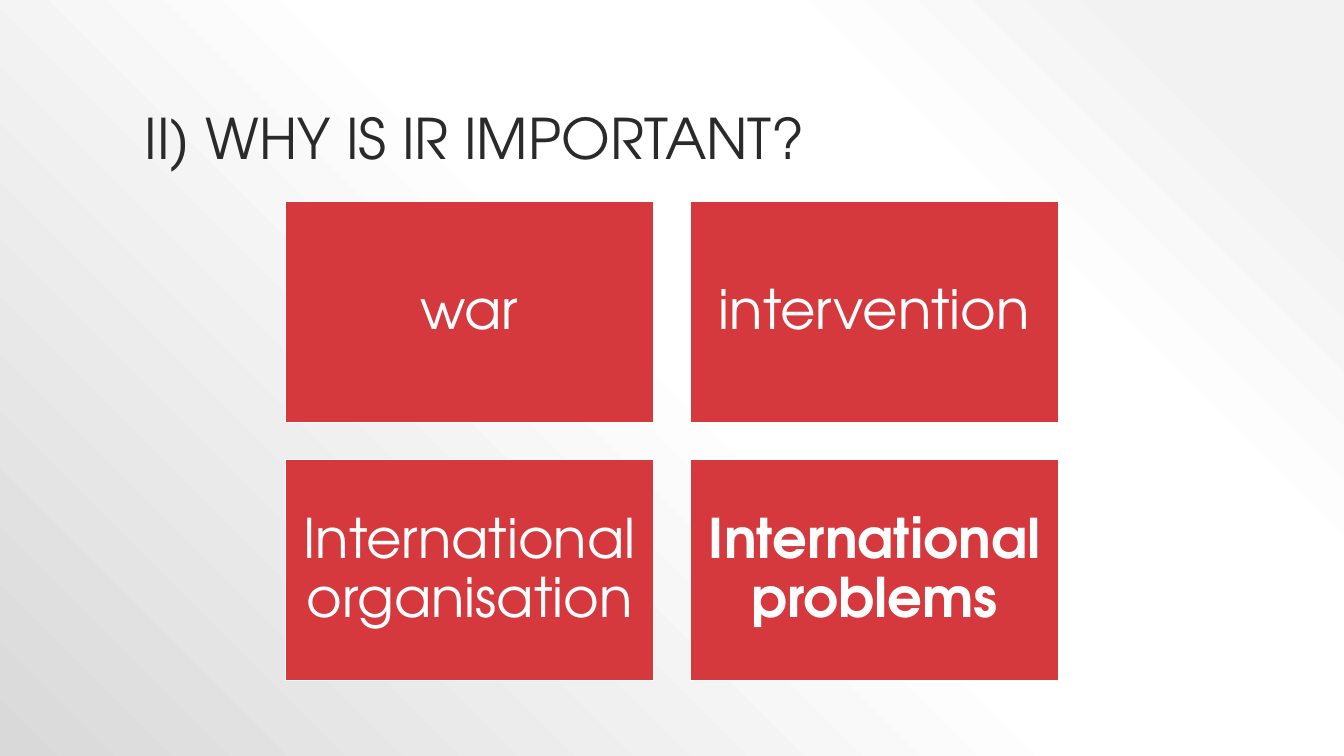
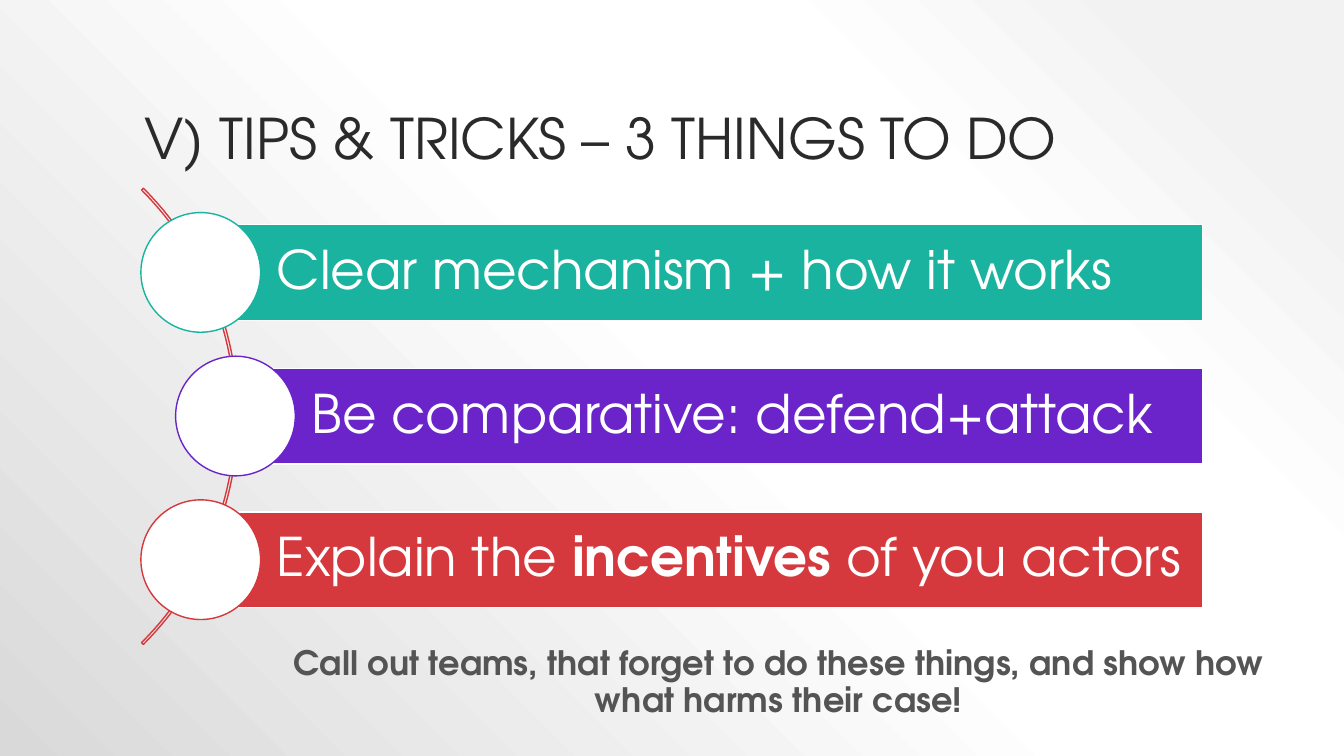
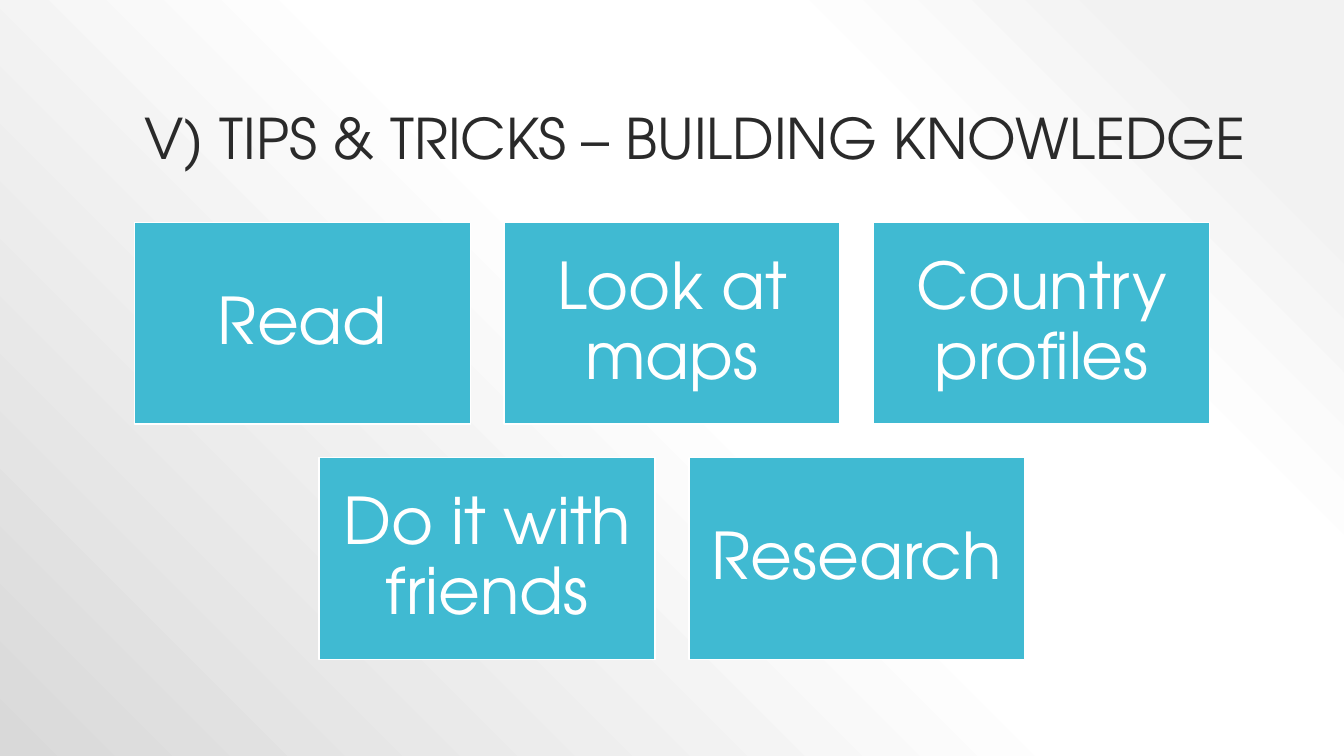
"""Build three slides on international relations: reasons, tips and ways to learn."""
from pptx import Presentation
from pptx.dml.color import RGBColor
from pptx.enum.shapes import MSO_SHAPE
from pptx.enum.text import MSO_ANCHOR, MSO_AUTO_SIZE, PP_ALIGN
from pptx.oxml import parse_xml
from pptx.oxml.ns import nsdecls, qn
from pptx.util import Pt

FONT = "TeX Gyre Adventor"
WHITE = RGBColor(0xFF, 0xFF, 0xFF)
RED = RGBColor(0xD5, 0x39, 0x3D)
TEAL = RGBColor(0x1A, 0xB3, 0x9F)
PURPLE = RGBColor(0x6A, 0x24, 0xCA)
BLUE = RGBColor(0x40, 0xBA, 0xD2)
GREY = RGBColor(0x54, 0x54, 0x54)
INK = RGBColor(0x2A, 0x2A, 0x2A)
BACKGROUND_STOPS = [(10, "F2F2F2"), (28, "FFFFFF"), (48, "FFFFFF"), (100, "D9D9D9")]

SLIDE_WIDTH, SLIDE_HEIGHT = 960, 540
TITLE_BOX = (96, 21.6, 768, 104.4)
WIDE_TITLE_BOX = (96, 21.6, 826.6, 104.4)

REASONS_TITLE = "II) WHY IS IR IMPORTANT?"
REASONS = [
    ["war", "intervention"],
    ["International organisation", [("International problems", True)]],
]
TIPS_TITLE = "V) TIPS & TRICKS – 3 THINGS TO DO"
TIPS = [
    ("Clear mechanism + how it works", TEAL, 143.4),
    ("Be comparative: defend+attack", PURPLE, 168.2),
    ([("Explain the ", False), ("incentives", True), (" of you actors", False)], RED, 143.4),
]
TIPS_NOTE = "Call out teams, that forget to do these things, and show how what harms their case!"
KNOWLEDGE_TITLE = "V) TIPS & TRICKS – BUILDING KNOWLEDGE"
KNOWLEDGE = [
    ["Read", "Look at maps", "Country profiles"],
    ["Do it with friends", "Research"],
]


def points(*lengths):
    return [Pt(length) for length in lengths]


def write_text(shape, text, size, color=WHITE, align=PP_ALIGN.CENTER, bold=False,
               anchor=MSO_ANCHOR.MIDDLE, insets=(7.2, 3.6, 7.2, 3.6)):
    frame = shape.text_frame
    frame.word_wrap = True
    frame.vertical_anchor = anchor
    frame.margin_left, frame.margin_top, frame.margin_right, frame.margin_bottom = points(*insets)
    paragraph = frame.paragraphs[0]
    paragraph.alignment = align
    paragraph.line_spacing = 0.9
    for words, is_bold in [(text, bold)] if isinstance(text, str) else text:
        run = paragraph.add_run()
        run.text = words
        run.font.name = FONT
        run.font.size = Pt(size)
        run.font.bold = is_bold
        run.font.color.rgb = color


def add_box(slide, kind, box, fill=None, line=WHITE):
    shape = slide.shapes.add_shape(kind, *points(*box))
    shape.shadow.inherit = False
    if fill is None:
        shape.fill.background()
    else:
        shape.fill.solid()
        shape.fill.fore_color.rgb = fill
    shape.line.color.rgb = line
    shape.line.width = Pt(1)
    return shape


def place(shape, box):
    shape.left, shape.top, shape.width, shape.height = points(*box)


def style_template(presentation, layout):
    master = presentation.slide_master
    master.background.fill.gradient()
    gradient = master.element.find(".//" + qn("a:gradFill"))
    stops = "".join(f'<a:gs pos="{position * 1000}"><a:srgbClr val="{color}"/></a:gs>'
                    for position, color in BACKGROUND_STOPS)
    gradient.getparent().replace(gradient, parse_xml(
        f'<a:gradFill {nsdecls("a")} rotWithShape="1"><a:gsLst>{stops}</a:gsLst>'
        '<a:path path="circle"><a:fillToRect l="100000" b="100000"/></a:path>'
        '<a:tileRect t="-100000" r="-100000"/></a:gradFill>'))
    level = master.element.find(".//" + qn("p:titleStyle")).find(qn("a:lvl1pPr"))
    level.getparent().replace(level, parse_xml(
        f'<a:lvl1pPr {nsdecls("a")} algn="l"><a:lnSpc><a:spcPct val="90000"/></a:lnSpc>'
        '<a:spcBef><a:spcPct val="0"/></a:spcBef><a:buNone/><a:defRPr sz="4000">'
        f'<a:solidFill><a:srgbClr val="{INK}"/></a:solidFill>'
        f'<a:latin typeface="{FONT}"/></a:defRPr></a:lvl1pPr>'))
    title = layout.placeholders[0]
    place(title, TITLE_BOX)
    title.text_frame.vertical_anchor = MSO_ANCHOR.BOTTOM
    title.text_frame.auto_size = MSO_AUTO_SIZE.NONE


def add_slide(presentation, layout, title):
    slide = presentation.slides.add_slide(layout)
    slide.shapes.title.text = title
    return slide


def add_card_grid(slide, rows, top, width, fill, size, inset):
    height, gap = width * 0.6, width * 0.1
    for row, cards in enumerate(rows):
        left = (SLIDE_WIDTH - len(cards) * (width + gap) + gap) / 2
        for column, text in enumerate(cards):
            box = (left + column * (width + gap), top + row * (height + gap), width, height)
            card = add_box(slide, MSO_SHAPE.RECTANGLE, box, fill)
            write_text(card, text, size, insets=[inset] * 4)


def add_tips(slide):
    arc = add_box(slide, MSO_SHAPE.BLOCK_ARC, (-290.9, 67, 460.8, 460.8), line=RED)
    for index, value in enumerate((189, 27, 0.004)):
        arc.adjustments[index] = value
    top, right, height, pitch = 160.4, 859.2, 68.4, 102.6
    diameter = height * 1.25
    for index, (text, color, left) in enumerate(TIPS):
        bar_top = top + index * pitch
        bar = add_box(slide, MSO_SHAPE.RECTANGLE, (left, bar_top, right - left, height), color)
        write_text(bar, text, 38, align=PP_ALIGN.LEFT, insets=(54.3, 7.9, 7.9, 7.9))
        circle = (left - diameter / 2, bar_top - (diameter - height) / 2, diameter, diameter)
        add_box(slide, MSO_SHAPE.OVAL, circle, WHITE, color)
    note = slide.shapes.add_textbox(*points(179.3, 458.6, 753.8, 59.8))
    write_text(note, TIPS_NOTE, 24, GREY, bold=True, anchor=MSO_ANCHOR.TOP)


def main():
    presentation = Presentation()
    presentation.slide_width, presentation.slide_height = points(SLIDE_WIDTH, SLIDE_HEIGHT)
    layout = presentation.slide_layouts.get_by_name("Title Only")
    style_template(presentation, layout)

    reasons = add_slide(presentation, layout, REASONS_TITLE)
    add_card_grid(reasons, REASONS, top=144, width=263, fill=RED, size=39, inset=11.7)

    add_tips(add_slide(presentation, layout, TIPS_TITLE))

    knowledge = add_slide(presentation, layout, KNOWLEDGE_TITLE)
    place(knowledge.shapes.title, WIDE_TITLE_BOX)
    add_card_grid(knowledge, KNOWLEDGE, top=159, width=240, fill=BLUE, size=46, inset=13.8)

    presentation.save("out.pptx")


if __name__ == "__main__":
    main()
